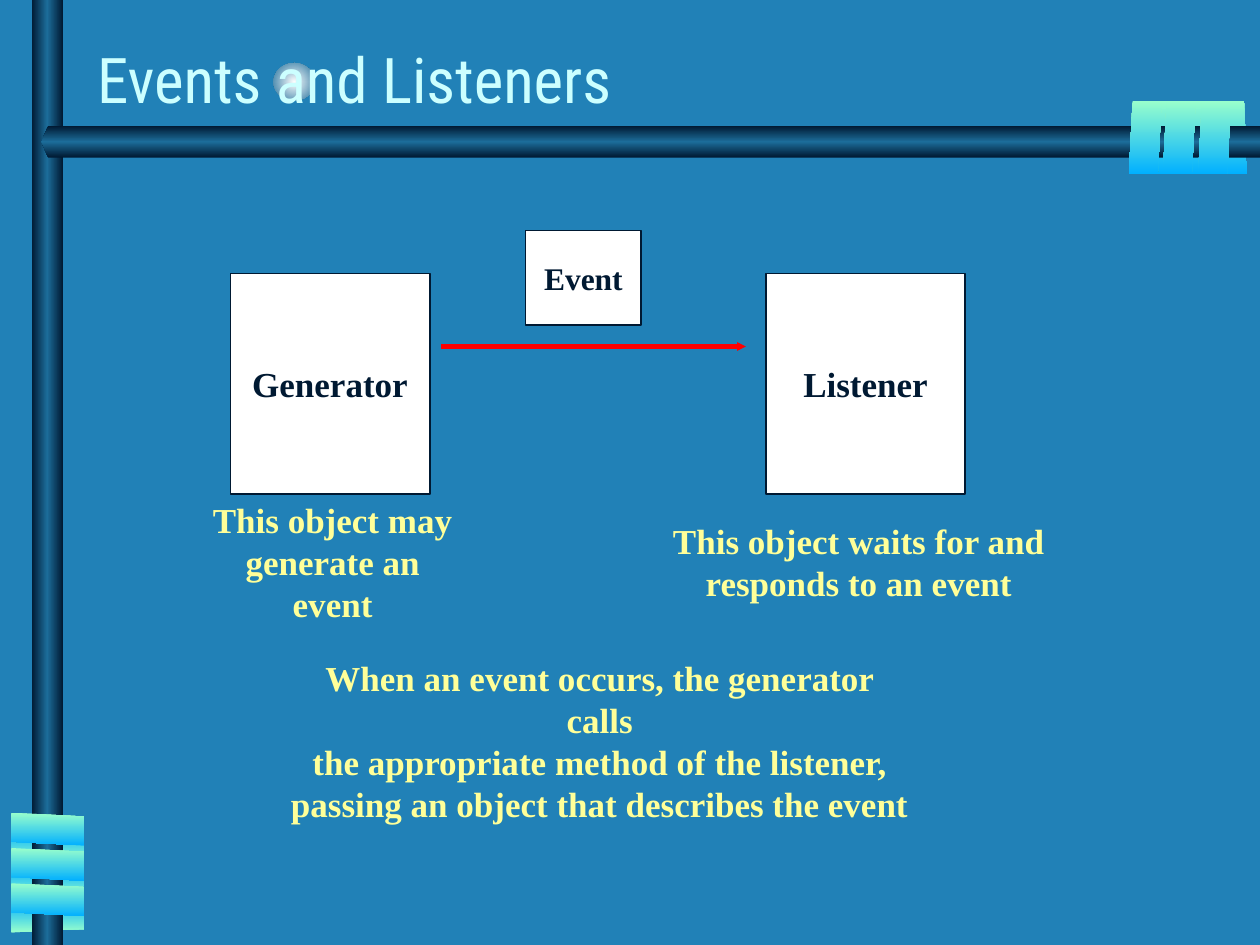
"""Build the Events and Listeners slide."""
from dataclasses import dataclass
from typing import Optional

import lxml.etree
import pptx
import pptx.dml.color
import pptx.enum.shapes
import pptx.enum.text
import pptx.oxml
import pptx.oxml.ns
import pptx.util

Inches = pptx.util.Inches
Pt = pptx.util.Pt
qn = pptx.oxml.ns.qn
Preset = pptx.enum.shapes.MSO_SHAPE
Anchor = pptx.enum.text.MSO_ANCHOR
AutoSize = pptx.enum.text.MSO_AUTO_SIZE
Align = pptx.enum.text.PP_ALIGN

COLORS = {
    "background": "2181B7", "title": "CCFFFF", "caption": "FFFF99",
    "navy": "001932", "steel": "1C6D9A", "mint": "99FFCC", "sky": "01B0FF",
    "pearl": "FEFFFF", "white": "FFFFFF", "arrow": "FF0000",
}
BODY_FONT = "Times New Roman"
TITLE_FONT = "Roboto Condensed"


@dataclass
class Ornament:
    preset: int
    at: tuple[float, float, float, float]
    shades: tuple[str, ...]
    angle: Optional[int] = None
    rotation: int = 0
    flipped: bool = False
    slant: Optional[float] = None


@dataclass
class Box:
    label: str
    at: tuple[float, float, float, float]
    size: int = 20


@dataclass
class Caption:
    lines: tuple[str, ...]
    at: tuple[float, float, float, float]


def rgb(name: str) -> pptx.dml.color.RGBColor:
    return pptx.dml.color.RGBColor.from_string(COLORS[name])


def gradient(shades: tuple[str, ...], angle: Optional[int]):
    last = len(shades) - 1
    stops = "".join(
        f'<a:gs pos="{100000 * i // last}"><a:srgbClr val="{COLORS[shade]}"/></a:gs>'
        for i, shade in enumerate(shades))
    if angle is None:
        course = ('<a:path path="circle"><a:fillToRect l="50000" t="50000" '
                  'r="50000" b="50000"/></a:path>')
    else:
        course = f'<a:lin ang="{angle * 60000}" scaled="0"/>'
    return pptx.oxml.parse_xml(
        f'<a:gradFill {pptx.oxml.ns.nsdecls("a")} rotWithShape="1">'
        f'<a:gsLst>{stops}</a:gsLst>{course}</a:gradFill>')


def draw_ornament(slide, item: Ornament) -> None:
    shape = slide.shapes.add_shape(item.preset, *map(Inches, item.at))
    shape.shadow.inherit = False
    shape.line.fill.background()
    shape.rotation = item.rotation
    if item.slant is not None:
        shape.adjustments[0] = item.slant
    properties = shape._element.spPr
    if item.flipped:
        properties.find(qn("a:xfrm")).set("flipH", "1")
    properties.find(qn("a:prstGeom")).addnext(gradient(item.shades, item.angle))


def write(frame, lines: tuple[str, ...], size: int, color: str) -> None:
    frame.word_wrap = True
    frame.vertical_anchor = Anchor.MIDDLE
    for i, line in enumerate(lines):
        paragraph = frame.add_paragraph() if i else frame.paragraphs[0]
        paragraph.alignment = Align.CENTER
        run = paragraph.add_run()
        run.text = line
        run.font.name = BODY_FONT
        run.font.size = Pt(size)
        run.font.bold = True
        run.font.color.rgb = rgb(color)


def draw_box(slide, box: Box) -> None:
    shape = slide.shapes.add_shape(Preset.FLOWCHART_PROCESS, *map(Inches, box.at))
    shape.shadow.inherit = False
    shape.fill.solid()
    shape.fill.fore_color.rgb = rgb("white")
    shape.line.color.rgb = rgb("navy")
    shape.line.width = Pt(1)
    write(shape.text_frame, (box.label,), box.size, "navy")


def draw_caption(slide, caption: Caption) -> None:
    frame = slide.shapes.add_textbox(*map(Inches, caption.at)).text_frame
    write(frame, caption.lines, 20, "caption")
    frame.auto_size = AutoSize.SHAPE_TO_FIT_TEXT


def draw_arrow(slide) -> None:
    arrow = slide.shapes.add_connector(
        pptx.enum.shapes.MSO_CONNECTOR.STRAIGHT,
        Inches(3.5), Inches(2.75), Inches(5.92), Inches(2.75))
    arrow.line.color.rgb = rgb("arrow")
    arrow.line.width = Pt(2.5)
    lxml.etree.SubElement(arrow.line._get_or_add_ln(), qn("a:tailEnd"),
                          type="triangle", w="sm", len="sm")
    lxml.etree.SubElement(arrow._element.spPr, qn("a:effectLst"))


def write_title(slide) -> None:
    title = slide.shapes.title
    title.left, title.top, title.width, title.height = map(Inches, (0.67, 0.22, 8.3, 0.75))
    frame = title.text_frame
    frame.auto_size = AutoSize.NONE
    frame.word_wrap = True
    frame.vertical_anchor = Anchor.BOTTOM
    frame.paragraphs[0].alignment = Align.LEFT
    run = frame.paragraphs[0].add_run()
    run.text = "Events and Listeners"
    run.font.name = TITLE_FONT
    run.font.size = Pt(36)
    run.font.color.rgb = rgb("title")


BAND, COIL_BACK, COIL_FRONT = ("navy", "steel", "navy"), ("sky", "mint"), ("mint", "sky")
SLANT = 0.114
ORNAMENTS = [
    Ornament(Preset.OVAL, (2.17, 0.5, 0.33, 0.3), ("pearl", "steel")),
    *(Ornament(Preset.PARALLELOGRAM, (left, 0.8, 0.24, 0.58), COIL_BACK, 90, 180, True, SLANT)
      for left in (9.66, 9.39, 9.11)),
    *(Ornament(Preset.PARALLELOGRAM, (0.26, top, 0.24, 0.58), COIL_BACK, 180, 90, True, SLANT)
      for top in (6.43, 6.72, 6.99)),
    Ornament(Preset.RECTANGLE, (0.25, 0, 0.25, 7.5), BAND, 180),
    Ornament(Preset.PENTAGON, (0.33, 1, 9.67, 0.25), BAND, 90, flipped=True, slant=0.212),
    *(Ornament(Preset.PARALLELOGRAM, (0.25, top, 0.26, 0.58), COIL_FRONT, 180, 270, slant=SLANT)
      for top in (6.29, 6.57, 6.85)),
    *(Ornament(Preset.PARALLELOGRAM, (left, 0.8, 0.26, 0.58), COIL_FRONT, 90, slant=SLANT)
      for left in (9.51, 9.23, 8.96)),
]
BOXES = [
    Box("Generator", (1.83, 2.17, 1.58, 1.75)),
    Box("Listener", (6.08, 2.17, 1.58, 1.75)),
    Box("Event", (4.17, 1.83, 0.92, 0.75), 18),
]
CAPTIONS = [
    Caption(("This object may", "generate an event"), (1.5, 4.07, 2.28, 0.77)),
    Caption(("This object waits for and", "responds to an event"), (5.24, 4.07, 3.15, 0.77)),
    Caption(("When an event occurs, the generator calls",
             "the appropriate method of the listener,",
             "passing an object that describes the event"), (2.19, 5.33, 5.14, 1.1)),
]

deck = pptx.Presentation()
deck.slide_width, deck.slide_height = Inches(10), Inches(7.5)
events_slide = deck.slides.add_slide(deck.slide_layouts[5])
events_slide.background.fill.solid()
events_slide.background.fill.fore_color.rgb = rgb("background")
for ornament in ORNAMENTS:
    draw_ornament(events_slide, ornament)
write_title(events_slide)
title_element = events_slide.shapes.title._element
title_element.getparent().append(title_element)
for participant in BOXES:
    draw_box(events_slide, participant)
draw_arrow(events_slide)
for explanation in CAPTIONS:
    draw_caption(events_slide, explanation)
deck.save("out.pptx")
